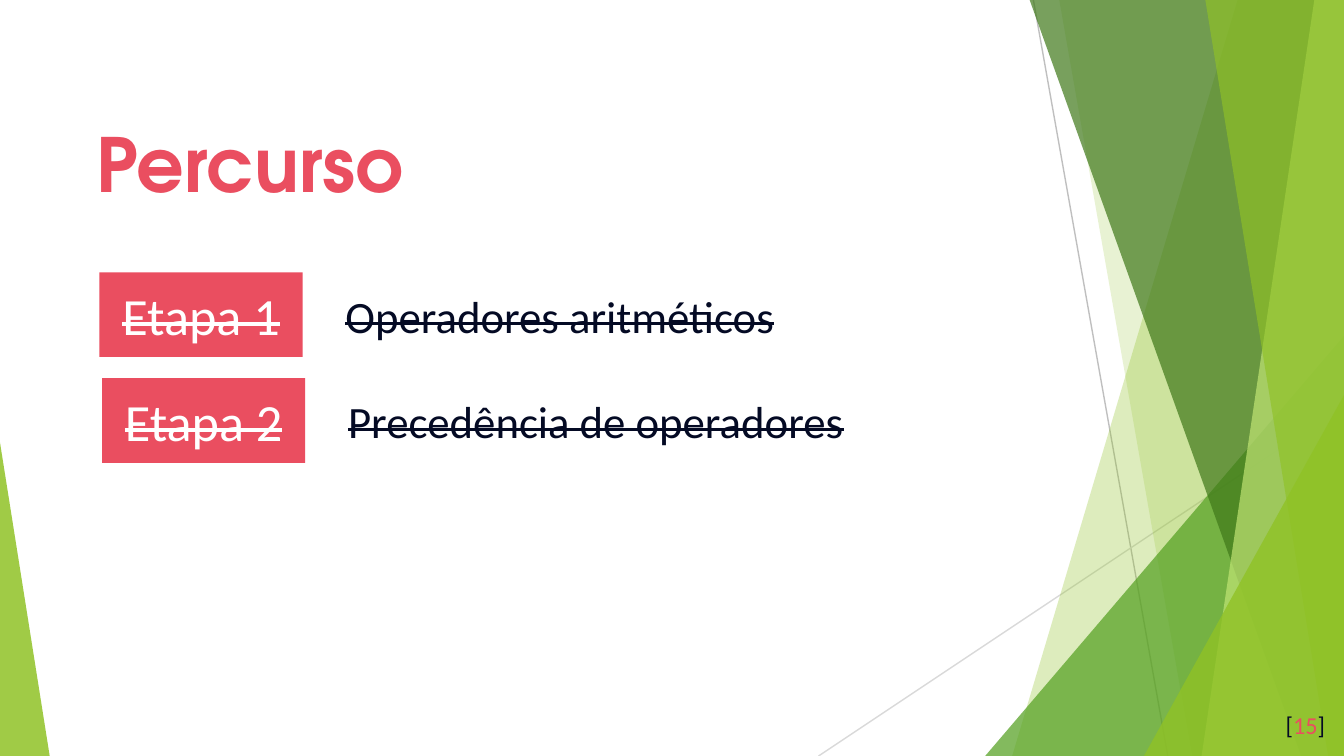
from dataclasses import dataclass

from lxml.etree import SubElement
from pptx import Presentation
from pptx.dml.color import RGBColor
from pptx.enum.shapes import MSO_CONNECTOR as Connector
from pptx.enum.shapes import MSO_SHAPE as Preset
from pptx.enum.text import MSO_ANCHOR as Anchor
from pptx.enum.text import PP_ALIGN as Align
from pptx.oxml.ns import qn
from pptx.util import Cm, Pt

WIDTH, HEIGHT = 25.4, 14.29
RED, NAVY, WHITE = "EA4E60", "040A24", "FFFFFF"
GREEN = "90C226"
BODY_FONT, TITLE_FONT = "Calibri", "TeX Gyre Adventor"


@dataclass
class Ray:
    start: tuple[float, float]
    end: tuple[float, float]
    color: str


@dataclass
class Band:
    top_x: float
    bottom_x: float
    color: str
    opacity: int


@dataclass
class Corner:
    left: float
    top: float
    width: float
    apex: float
    color: str
    opacity: int


@dataclass
class Step:
    label: str
    topic: str
    left: float
    top: float


RAYS = [
    Ray((19.53, 0), (22.07, HEIGHT), "BFBFBF"),
    Ray((WIDTH, 7.67), (15.47, HEIGHT), "D9D9D9"),
]
FACETS = [
    Band(23.39, 19.13, GREEN, 30),
    Band(20.02, 22.53, GREEN, 20),
    Corner(18.62, 6.35, 6.78, 1, "54A021", 72),
    Band(19.46, 24.59, "3F7819", 70),
    Band(24.84, 22.71, "C0E474", 70),
    Band(22.78, 25.1, GREEN, 65),
    Corner(21.62, 7.47, 3.78, 1, GREEN, 80),
    Corner(0, 8.36, 0.94, 0, GREEN, 85),
]
STEPS = [
    Step("Etapa 1", "Operadores aritméticos", 1.88, 5.15),
    Step("Etapa 2", "Precedência de operadores", 1.93, 7.15),
]


def rgb(color: str) -> RGBColor:
    return RGBColor.from_string(color)


def paint(shape, color: str, opacity: int = 100) -> None:
    shape.shadow.inherit = False
    shape.line.fill.background()
    shape.fill.solid()
    shape.fill.fore_color.rgb = rgb(color)
    if opacity < 100:
        value = shape._element.spPr.find(f"{qn('a:solidFill')}/{qn('a:srgbClr')}")
        SubElement(value, qn("a:alpha")).set("val", str(opacity * 1000))


def draw_ray(slide, ray: Ray) -> None:
    points = [Cm(value) for value in (*ray.start, *ray.end)]
    connector = slide.shapes.add_connector(Connector.STRAIGHT, *points)
    connector.line.color.rgb = rgb(ray.color)
    connector.line.width = Pt(0.75)
    SubElement(connector._element.spPr, qn("a:effectLst"))


def draw_band(slide, band: Band) -> None:
    builder = slide.shapes.build_freeform(Cm(band.top_x), 0)
    corners = [(WIDTH, 0), (WIDTH, HEIGHT), (band.bottom_x, HEIGHT)]
    builder.add_line_segments([(Cm(x), Cm(y)) for x, y in corners])
    paint(builder.convert_to_shape(), band.color, band.opacity)


def draw_corner(slide, corner: Corner) -> None:
    shape = slide.shapes.add_shape(
        Preset.ISOSCELES_TRIANGLE, Cm(corner.left), Cm(corner.top),
        Cm(corner.width), Cm(HEIGHT - corner.top))
    shape.adjustments[0] = corner.apex
    paint(shape, corner.color, corner.opacity)


def set_text(shape, text: str, size: int, color: str, font: str = BODY_FONT,
             inset: float = 0.25, anchor=Anchor.TOP, align=Align.LEFT,
             bold: bool = False, strike: bool = False):
    frame = shape.text_frame
    frame.word_wrap = True
    frame.vertical_anchor = anchor
    frame.margin_left = frame.margin_right = Cm(0.25)
    frame.margin_top = frame.margin_bottom = Cm(inset)
    frame.text = text
    paragraph = frame.paragraphs[0]
    paragraph.alignment = align
    for run in paragraph.runs:
        format_run(run, size, color, font, bold, strike)
    return paragraph


def format_run(run, size: int, color: str, font: str = BODY_FONT,
               bold: bool = False, strike: bool = False) -> None:
    run.font.size = Pt(size)
    run.font.name = font
    run.font.bold = bold
    run.font.color.rgb = rgb(color)
    if strike:
        run._r.get_or_add_rPr().set("strike", "sngStrike")


def add_box(slide, left: float, top: float, width: float, height: float):
    return slide.shapes.add_textbox(Cm(left), Cm(top), Cm(width), Cm(height))


def draw_title(slide, text: str) -> None:
    box = add_box(slide, 1.57, 1.78, 20.57, 2.34)
    paragraph = set_text(box, text, 40, RED, TITLE_FONT,
                         anchor=Anchor.MIDDLE, bold=True)
    paragraph.line_spacing = 1.15


def draw_page_number(slide, number: str) -> None:
    box = add_box(slide, 23.77, 13.18, 1.52, 1.09)
    paragraph = set_text(box, "[", 13, NAVY, align=Align.RIGHT)
    for text, color in ((number, RED), ("]", NAVY)):
        run = paragraph.add_run()
        run.text = text
        format_run(run, 13, color)


def draw_step(slide, step: Step) -> None:
    badge = slide.shapes.add_shape(
        Preset.RECTANGLE, Cm(step.left), Cm(step.top), Cm(3.84), Cm(1.6))
    paint(badge, RED)
    set_text(badge, step.label, 28, WHITE, anchor=Anchor.MIDDLE,
             align=Align.CENTER, strike=True)
    topic = add_box(slide, step.left + 4.4, step.top + 0.17, 17.15, 1.27)
    set_text(topic, step.topic, 24, NAVY, inset=0.13, strike=True)


def main() -> None:
    presentation = Presentation()
    presentation.slide_width = Cm(WIDTH)
    presentation.slide_height = Cm(HEIGHT)
    slide = presentation.slides.add_slide(presentation.slide_layouts[6])
    for ray in RAYS:
        draw_ray(slide, ray)
    for facet in FACETS:
        if isinstance(facet, Band):
            draw_band(slide, facet)
        else:
            draw_corner(slide, facet)
    draw_title(slide, "Percurso")
    draw_page_number(slide, "15")
    for step in STEPS:
        draw_step(slide, step)
    presentation.save("out.pptx")


if __name__ == "__main__":
    main()
